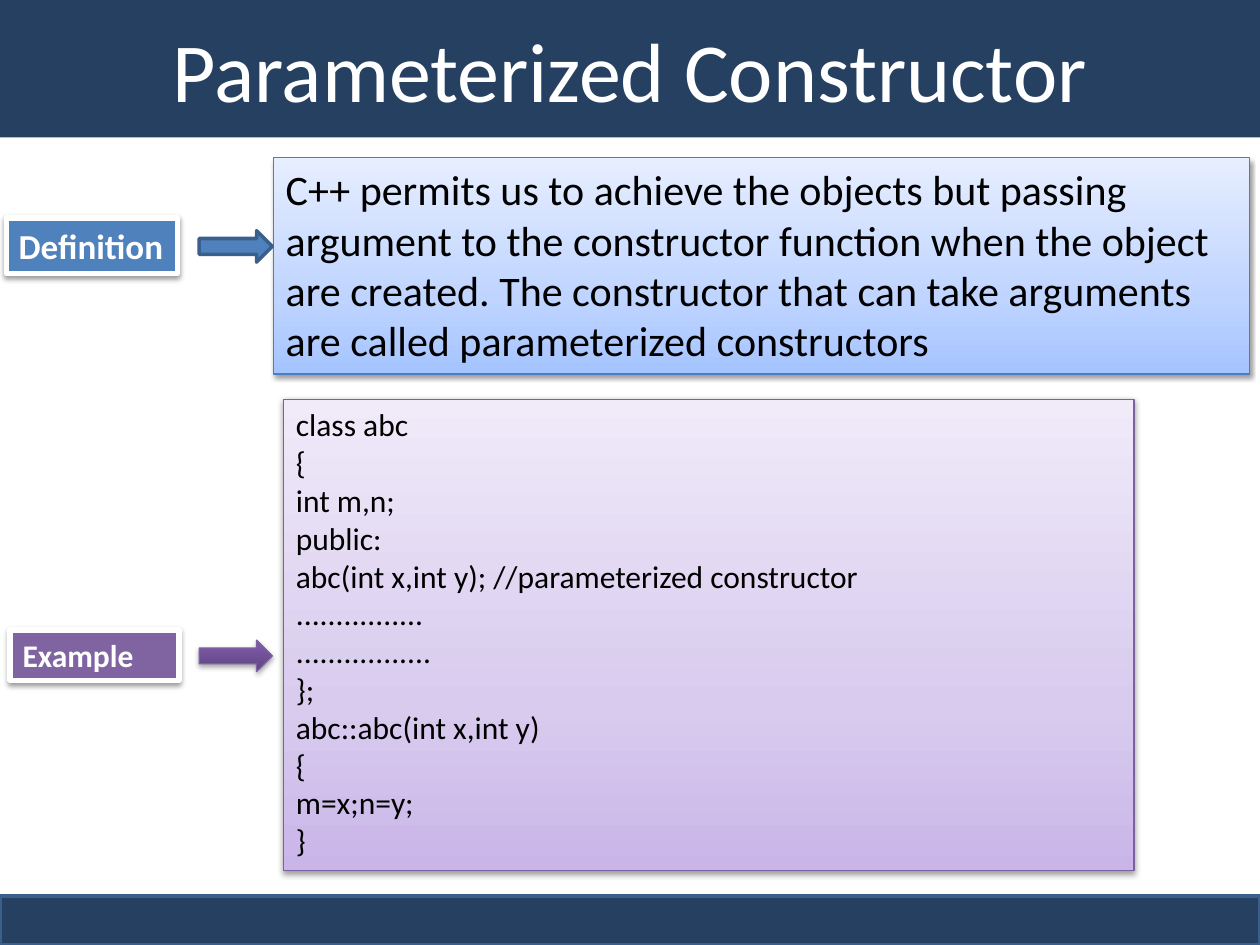
from dataclasses import dataclass
from typing import Optional

from lxml.etree import SubElement
from pptx import Presentation
from pptx.dml.color import RGBColor
from pptx.enum.shapes import MSO_SHAPE as Kind
from pptx.enum.text import MSO_ANCHOR as Anchor
from pptx.enum.text import MSO_AUTO_SIZE as Fit
from pptx.enum.text import PP_ALIGN as Align
from pptx.oxml.ns import qn
from pptx.util import Pt

WHITE = RGBColor(0xFF, 0xFF, 0xFF)
BLACK = RGBColor(0x00, 0x00, 0x00)
NAVY = RGBColor(0x25, 0x40, 0x61)
BLUE = RGBColor(0x4F, 0x81, 0xBD)
STEEL = RGBColor(0x3A, 0x5F, 0x8C)
SKY = RGBColor(0x4B, 0x7E, 0xBC)
PLUM = RGBColor(0x80, 0x64, 0xA2)
GRAPE = RGBColor(0x7D, 0x60, 0xA0)

# Gradients run upward: (percent, colour)
ICE = ((0, RGBColor(0xA4, 0xC4, 0xFF)), (35, RGBColor(0xBF, 0xD4, 0xFF)),
       (100, RGBColor(0xE6, 0xEE, 0xFF)))
LILAC = ((0, RGBColor(0xC9, 0xB5, 0xE8)), (35, RGBColor(0xD8, 0xCB, 0xEE)),
         (100, RGBColor(0xF0, 0xEA, 0xF9)))
VIOLET = ((0, RGBColor(0x5F, 0x44, 0x80)), (80, RGBColor(0x7B, 0x58, 0xA6)),
          (100, RGBColor(0x7C, 0x57, 0xA8)))

ABOUT = ("C++ permits us to achieve the objects but passing argument to the "
         "constructor function when the object are created. The constructor "
         "that can take arguments are called parameterized constructors")
CODE = """class abc
{
int m,n;
public:
abc(int x,int y); //parameterized constructor
................
.................
};
abc::abc(int x,int y)
{
m=x;n=y;
}"""


@dataclass
class Text:
    words: str
    size: float
    color: RGBColor = BLACK
    bold: bool = False
    align: Align = Align.LEFT
    anchor: Anchor = Anchor.TOP
    fit: Fit = Fit.SHAPE_TO_FIT_TEXT
    wrap: bool = True


@dataclass
class Part:
    box: tuple[float, float, float, float]
    fill: object  # one colour, or a tuple of gradient stops
    line: Optional[tuple[RGBColor, float]] = None
    shade: int = 0  # shadow opacity in percent
    text: Optional[Text] = None
    kind: Kind = Kind.RECTANGLE


def paint(shape, fill) -> None:
    if isinstance(fill, RGBColor):
        shape.fill.solid()
        shape.fill.fore_color.rgb = fill
        return
    shape.fill.gradient()
    shape.fill.gradient_angle = 90
    stops = shape._element.spPr.find(".//" + qn("a:gsLst"))
    for old in list(stops):
        stops.remove(old)
    for pos, color in fill:
        stop = SubElement(stops, qn("a:gs"), pos=str(pos * 1000))
        SubElement(stop, qn("a:srgbClr"), val=str(color))


def cast(shape, shade: int) -> None:
    shape.shadow.inherit = False
    if shade:
        group = shape._element.spPr.find(qn("a:effectLst"))
        drop = SubElement(group, qn("a:outerShdw"), blurRad=str(Pt(3.1)),
                          dist=str(Pt(1.6)), dir="5400000", rotWithShape="0")
        tint = SubElement(drop, qn("a:srgbClr"), val=str(BLACK))
        SubElement(tint, qn("a:alpha"), val=str(shade * 1000))


def write(shape, text: Text) -> None:
    frame = shape.text_frame
    form = {"word_wrap": text.wrap, "auto_size": text.fit,
            "vertical_anchor": text.anchor}
    for name, value in form.items():
        setattr(frame, name, value)
    para = frame.paragraphs[0]
    para.text = text.words
    para.alignment = text.align
    font = {"name": "Calibri", "size": Pt(text.size), "bold": text.bold}
    for run in para.runs:
        for name, value in font.items():
            setattr(run.font, name, value)
        run.font.color.rgb = text.color


def draw(slide, part: Part) -> None:
    shape = slide.shapes.add_shape(part.kind, *map(Pt, part.box))
    paint(shape, part.fill)
    if part.line:
        color, width = part.line
        shape.line.color.rgb = color
        shape.line.width = Pt(width)
    else:
        shape.line.fill.background()
    cast(shape, part.shade)
    if part.text:
        write(shape, part.text)


def arrow(top: float, fill, line, shade: int = 0) -> Part:
    return Part((113.8, top, 41.8, 18), fill, line, shade,
                kind=Kind.RIGHT_ARROW)


def label(box, fill: RGBColor, words: str, size: float, wrap: bool) -> Part:
    return Part(box, fill, (WHITE, 3), 38,
                Text(words, size, WHITE, bold=True, wrap=wrap))


PARTS = [
    # Title band and footer bar
    Part((0, 0, 720, 78.5), NAVY,
         text=Text("Parameterized Constructor", 48, WHITE, align=Align.CENTER,
                   anchor=Anchor.MIDDLE, fit=Fit.NONE)),
    Part((0, 511.9, 720, 28.1), NAVY, (STEEL, 2)),
    # Text panels
    Part((156.2, 90, 558, 123.8), ICE, (SKY, 0.75), 38, Text(ABOUT, 24)),
    Part((162, 228.2, 486, 269.3), LILAC, (GRAPE, 0.75), 38, Text(CODE, 18)),
    # Labels with their arrows
    label((3.6, 124.6, 97.9, 31.7), BLUE, "Definition", 20, False),
    arrow(131.8, BLUE, (STEEL, 2)),
    label((5.8, 360, 96.5, 28.8), PLUM, "Example", 18, True),
    arrow(365.8, VIOLET, (GRAPE, 0.75), 35),
]


def main() -> None:
    deck = Presentation()
    deck.slide_width, deck.slide_height = Pt(720), Pt(540)
    slide = deck.slides.add_slide(deck.slide_layouts[6])
    for part in PARTS:
        draw(slide, part)
    deck.save("out.pptx")


if __name__ == "__main__":
    main()
